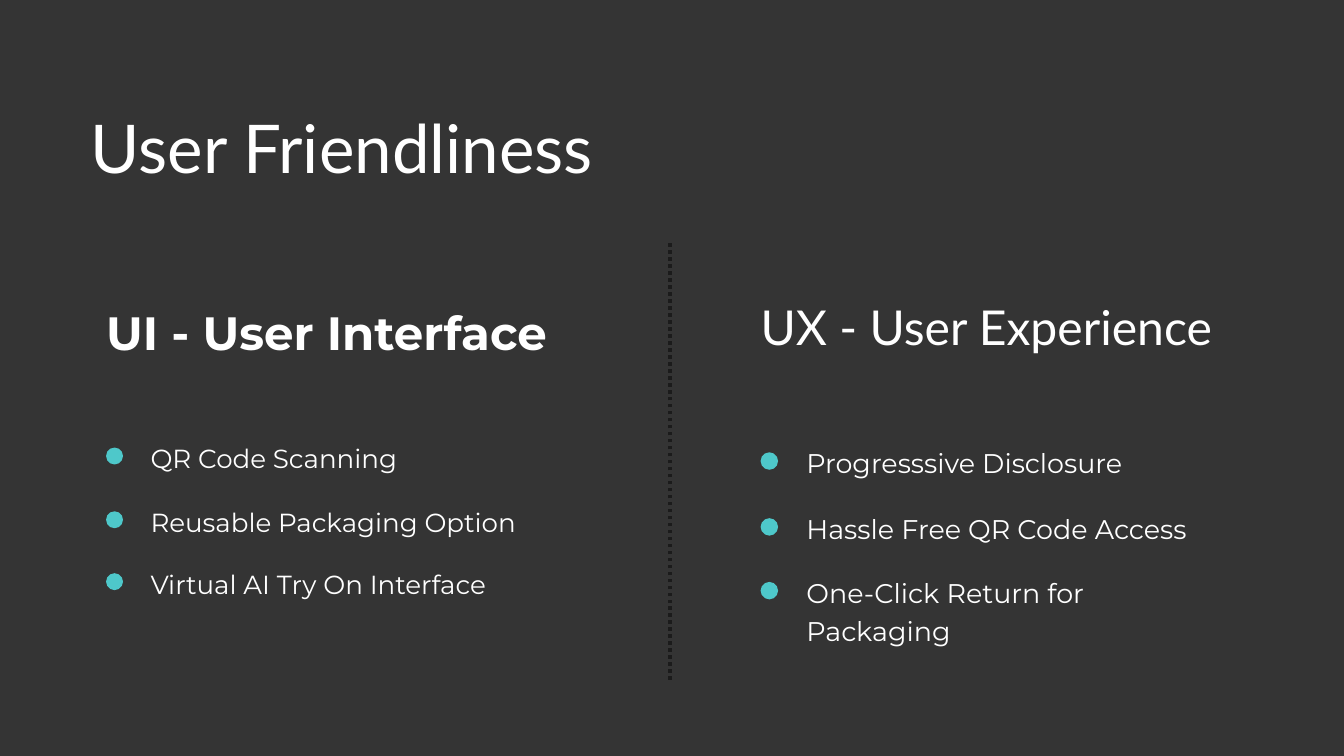
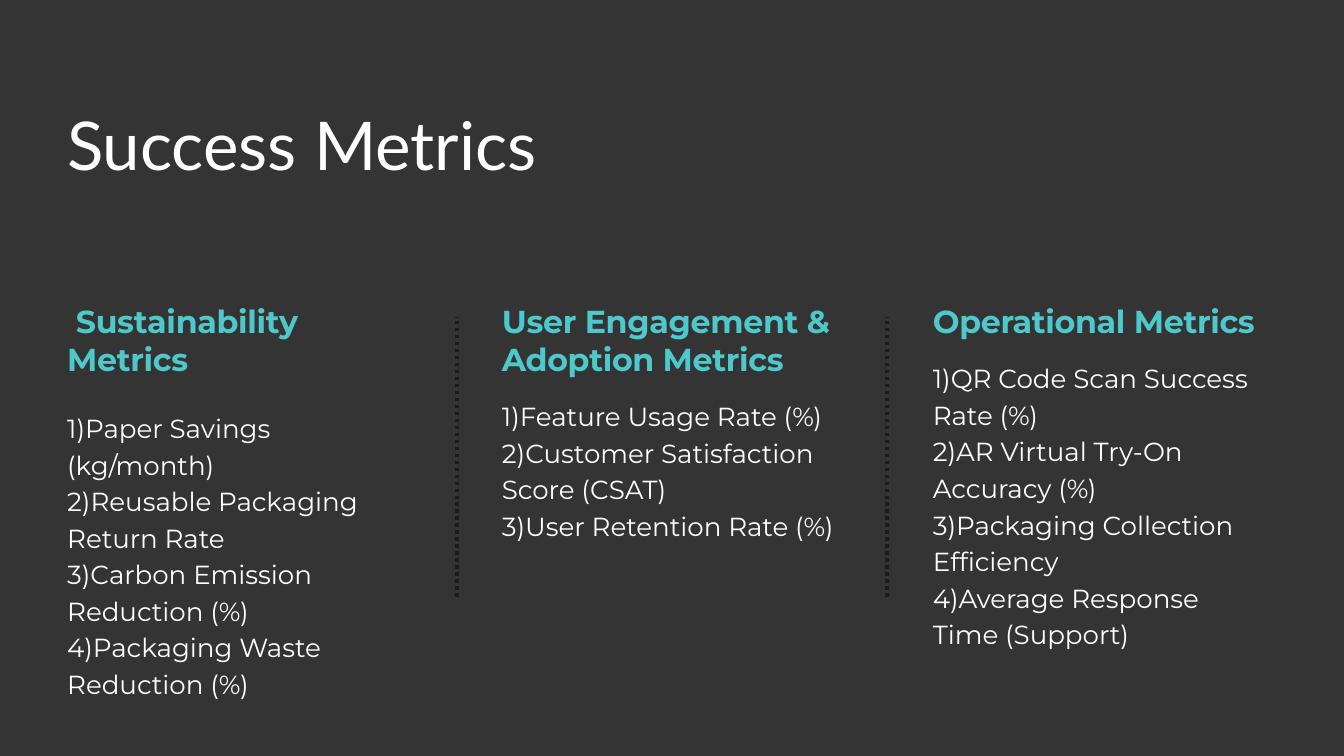
from dataclasses import dataclass

from lxml.etree import SubElement
from pptx import Presentation
from pptx.dml.color import RGBColor
from pptx.enum.dml import MSO_LINE
from pptx.enum.shapes import MSO_CONNECTOR, MSO_SHAPE
from pptx.enum.text import MSO_ANCHOR, MSO_AUTO_SIZE, PP_ALIGN
from pptx.oxml.ns import qn
from pptx.shapes.autoshape import Shape
from pptx.slide import Slide
from pptx.util import Cm, Pt

WHITE = RGBColor(0xFF, 0xFF, 0xFF)
TEAL = RGBColor(0x4E, 0xC8, 0xCA)


@dataclass(frozen=True)
class Style:
    """Type style; lead is the line pitch as a multiple of the size."""
    font: str
    size: float
    lead: float = 1.4
    color: RGBColor = WHITE
    bold: bool = False
    track: int = 0


@dataclass(frozen=True)
class Theme:
    back: RGBColor = RGBColor(0x34, 0x34, 0x34)
    rule: RGBColor = RGBColor(0x1B, 0x1B, 0x1B)
    dot: RGBColor = TEAL
    title: Style = Style("Lato", 72, 1.2)
    ui_head: Style = Style("Montserrat", 50, bold=True)
    ux_head: Style = Style("Lato", 51.5)
    ui_item: Style = Style("Montserrat", 28)
    ux_item: Style = Style("Montserrat", 28.9)
    label: Style = Style("Montserrat", 34, 1.2, TEAL, True, -30)
    body: Style = Style("Montserrat", 28)


THEME = Theme()


@dataclass(frozen=True)
class Box:
    left: float
    top: float
    width: float
    height: float

    def place(self, shape: Shape) -> None:
        shape.left, shape.top = Cm(self.left), Cm(self.top)
        shape.width, shape.height = Cm(self.width), Cm(self.height)


@dataclass(frozen=True)
class Panel:
    """A heading over dotted points; drop is how far a dot sits below its text top."""
    head: str
    box: Box
    head_style: Style
    item_style: Style
    indent: float
    width: float
    dot: float
    drop: float
    items: tuple[tuple[str, float, float], ...]


@dataclass(frozen=True)
class Metric:
    head: str
    left: float
    head_tall: float
    top: float
    tall: float
    lines: tuple[str, ...]


UI = Panel("UI - User Interface", Box(4.01, 11.13, 17.48, 2.31),
           THEME.ui_head, THEME.ui_item, 1.68, 14.2, 0.64, 0.38,
           (("QR Code Scanning", 16.54, 1.27),
            ("Reusable Packaging Option", 18.95, 1.27),
            ("Virtual AI Try On Interface", 21.29, 1.27)))
UX = Panel("UX - User Experience", Box(28.75, 10.9, 18.01, 2.57),
           THEME.ux_head, THEME.ux_item, 1.73, 14.61, 0.66, 0.41,
           (("Progresssive Disclosure", 16.69, 1.32),
            ("Hassle Free QR Code Access", 19.18, 1.32),
            ("One-Click Return for Packaging", 21.59, 2.72)))

METRICS = (
    Metric(" Sustainability Metrics", 2.54, 2.87, 15.39, 10.9,
           ("1)Paper Savings (kg/month)",
            "2)Reusable Packaging Return Rate",
            "3)Carbon Emission Reduction (%)",
            "4)Packaging Waste Reduction (%)")),
    Metric("User Engagement & Adoption Metrics", 18.97, 2.87, 14.94, 5.41,
           ("1)Feature Usage Rate (%)",
            "2)Customer Satisfaction Score (CSAT)",
            "3)User Retention Rate (%)")),
    Metric("Operational Metrics", 35.26, 1.42, 13.51, 10.9,
           ("1)QR Code Scan Success Rate (%)",
            "2)AR Virtual Try-On Accuracy (%)",
            "3)Packaging Collection Efficiency",
            "4)Average Response Time (Support)")),
)
METRIC_TOP, METRIC_WIDTH = 11.4, 12.55


def write(shape: Shape, text: str, style: Style) -> None:
    frame = shape.text_frame
    frame.text = text
    frame.word_wrap = True
    frame.auto_size = MSO_AUTO_SIZE.NONE
    frame.vertical_anchor = MSO_ANCHOR.TOP
    frame.margin_left = frame.margin_right = 0
    frame.margin_top = frame.margin_bottom = 0
    for para in frame.paragraphs:
        para.alignment = PP_ALIGN.LEFT
        para.line_spacing = Pt(style.size * style.lead)
        for run in para.runs:
            run.font.name = style.font
            run.font.size = Pt(style.size)
            run.font.bold = style.bold
            run.font.color.rgb = style.color
            if style.track:
                run._r.get_or_add_rPr().set("spc", str(style.track))


def add_text(slide: Slide, box: Box, text: str, style: Style) -> None:
    shape = slide.shapes.add_textbox(0, 0, 0, 0)
    box.place(shape)
    write(shape, text, style)


def add_dot(slide: Slide, left: float, top: float, size: float) -> None:
    dot = slide.shapes.add_shape(MSO_SHAPE.OVAL, Cm(left), Cm(top), Cm(size), Cm(size))
    dot.shadow.inherit = False
    dot.fill.solid()
    dot.fill.fore_color.rgb = THEME.dot
    dot.line.fill.background()


def add_rule(slide: Slide, left: float, top: float, base: float) -> None:
    """Draw a dotted upright line between two columns."""
    rule = slide.shapes.add_connector(
        MSO_CONNECTOR.STRAIGHT, Cm(left), Cm(base), Cm(left), Cm(top))
    rule.line.color.rgb = THEME.rule
    rule.line.width = Pt(3.75)
    rule.line.dash_style = MSO_LINE.ROUND_DOT
    SubElement(rule._element.spPr, qn("a:effectLst"))


def add_panel(slide: Slide, panel: Panel) -> None:
    left = panel.box.left
    add_text(slide, panel.box, panel.head, panel.head_style)
    for text, top, tall in panel.items:
        add_dot(slide, left, top + panel.drop, panel.dot)
        add_text(slide, Box(left + panel.indent, top, panel.width, tall),
                 text, panel.item_style)


def add_metric(slide: Slide, metric: Metric) -> None:
    add_text(slide, Box(metric.left, METRIC_TOP, METRIC_WIDTH, metric.head_tall),
             metric.head, THEME.label)
    add_text(slide, Box(metric.left, metric.top, METRIC_WIDTH, metric.tall),
             "\n".join(metric.lines), THEME.body)


def main() -> None:
    deck = Presentation()
    deck.slide_width, deck.slide_height = Cm(50.8), Cm(28.58)
    fill = deck.slide_master.background.fill
    fill.solid()
    fill.fore_color.rgb = THEME.back

    def add_slide(title: str, box: Box) -> Slide:
        slide = deck.slides.add_slide(deck.slide_layouts.get_by_name("Title Only"))
        box.place(slide.shapes.title)
        write(slide.shapes.title, title, THEME.title)
        return slide

    usage = add_slide("User Friendliness", Box(3.43, 4.01, 38.81, 3.33))
    for panel in (UI, UX):
        add_panel(usage, panel)
    add_rule(usage, 25.32, 9.14, 25.7)

    success = add_slide("Success Metrics", Box(2.54, 3.91, 30.56, 3.43))
    for metric in METRICS:
        add_metric(success, metric)
    for left in (17.27, 33.53):
        add_rule(success, left, 11.99, 22.56)

    deck.save("out.pptx")


if __name__ == "__main__":
    main()
